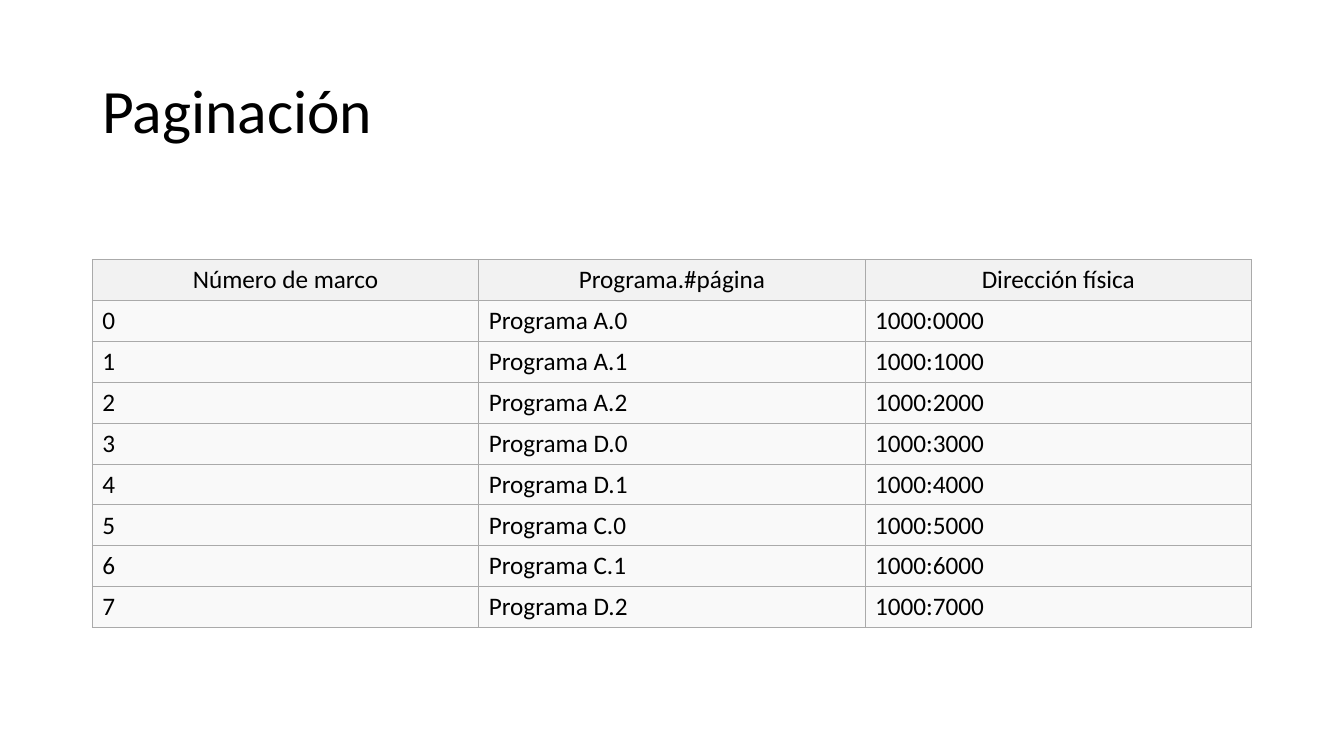
from pptx import Presentation
from pptx.dml.color import RGBColor
from pptx.enum.text import MSO_ANCHOR as Anchor, PP_ALIGN as Align
from pptx.oxml import parse_xml
from pptx.oxml.ns import nsdecls
from pptx.util import Pt

BLACK = RGBColor(0x00, 0x00, 0x00)
HEAD = RGBColor(0xF2, 0xF2, 0xF2)
BODY = RGBColor(0xF9, 0xF9, 0xF9)
RULE = RGBColor(0xAA, 0xAA, 0xAA)
FONT = "Calibri"

HEADS = ["Número de marco", "Programa.#página", "Dirección física"]
PAGES = ["A.0", "A.1", "A.2", "D.0", "D.1", "C.0", "C.1", "D.2"]


def write(frame, text, size=18, align=Align.LEFT, spacing=1.0):
    frame.word_wrap = True
    para = frame.paragraphs[0]
    para.alignment = align
    para.line_spacing = spacing
    run = para.add_run()
    run.text = text
    run.font.name = FONT
    run.font.size = Pt(size)
    run.font.color.rgb = BLACK


def border(cell, width=0.75):
    props = cell._tc.get_or_add_tcPr()
    for i, side in enumerate(("lnL", "lnR", "lnT", "lnB")):
        line = parse_xml(
            f'<a:{side} {nsdecls("a")} w="{Pt(width)}"><a:solidFill>'
            f'<a:srgbClr val="{RULE}"/></a:solidFill></a:{side}>')
        props.insert(i, line)


def add_title(slide, text, left, top, width, height):
    box = slide.shapes.add_textbox(Pt(left), Pt(top), Pt(width), Pt(height))
    box.text_frame.vertical_anchor = Anchor.MIDDLE
    write(box.text_frame, text, size=44, spacing=0.9)


def add_grid(slide, rows, left, top, width, height):
    """Draw a ruled table whose first row is a centred heading."""
    table = slide.shapes.add_table(
        len(rows), len(rows[0]), Pt(left), Pt(top), Pt(width), Pt(height)).table
    table.horz_banding = False
    for r, row in enumerate(rows):
        table.rows[r].height = Pt(height / len(rows))
        for c, text in enumerate(row):
            cell = table.cell(r, c)
            cell.vertical_anchor = Anchor.MIDDLE
            cell.fill.solid()
            cell.fill.fore_color.rgb = BODY if r else HEAD
            border(cell)
            write(cell.text_frame, text,
                  align=Align.LEFT if r else Align.CENTER)


def main():
    deck = Presentation()
    deck.slide_width, deck.slide_height = Pt(960), Pt(540)
    slide = deck.slides.add_slide(deck.slide_layouts[6])
    rows = [HEADS] + [[str(n), f"Programa {page}", f"1000:{n}000"]
                      for n, page in enumerate(PAGES)]
    left, width = 66, 828
    add_title(slide, "Paginación", left, 28.75, width, 104.4)
    add_grid(slide, rows, left, 185.5, width, 262.8)
    deck.save("out.pptx")


if __name__ == "__main__":
    main()
